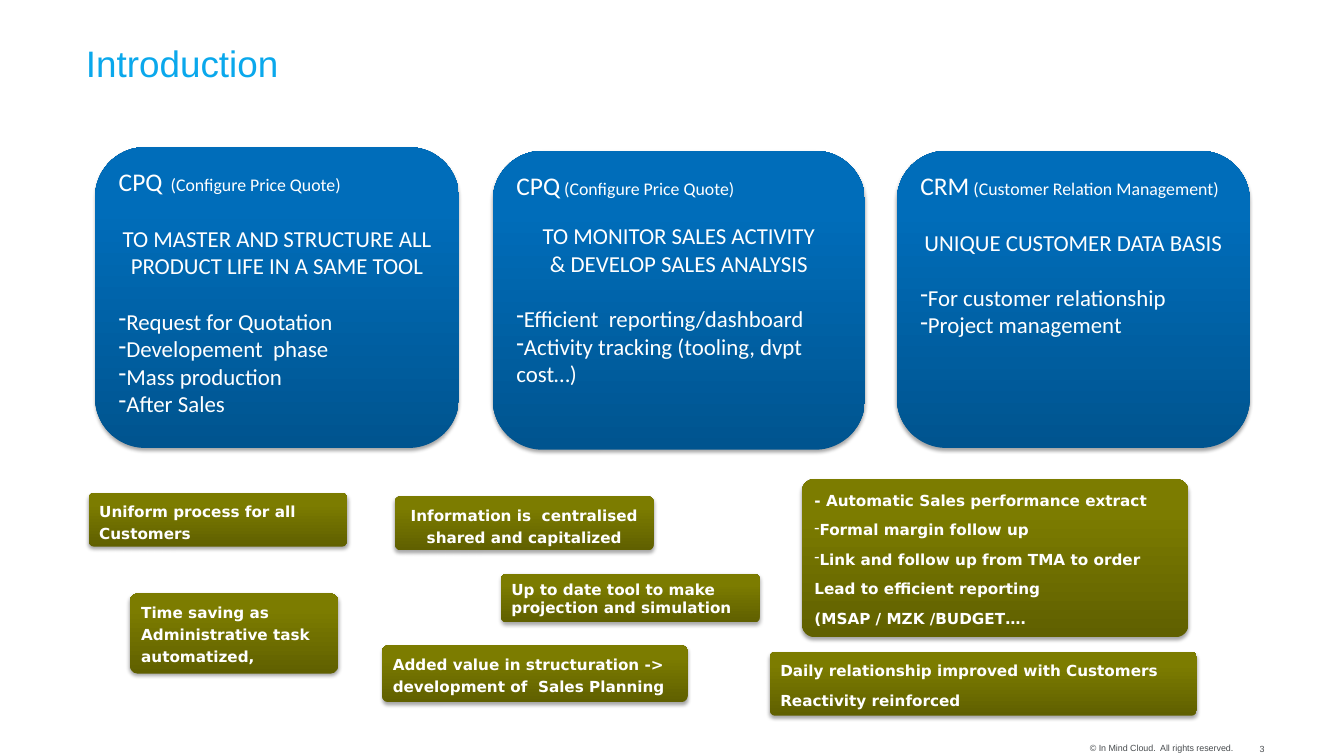
from copy import deepcopy
from dataclasses import dataclass

from lxml.etree import SubElement
from pptx import Presentation
from pptx.dml.color import RGBColor
from pptx.enum.shapes import MSO_SHAPE
from pptx.enum.text import MSO_ANCHOR, MSO_AUTO_SIZE, PP_ALIGN
from pptx.oxml.ns import qn
from pptx.util import Inches, Pt

WHITE = RGBColor(0xFF, 0xFF, 0xFF)
TITLE_BLUE = RGBColor(0x0A, 0xA8, 0xEC)
FOOTER_GREY = RGBColor(0x48, 0x4C, 0x4F)
# Gradients run from bottom to top: position and colour
BLUE_STOPS = ((0, RGBColor(0x00, 0x54, 0x8F)), (0.8, RGBColor(0x00, 0x6D, 0xBA)),
              (1, RGBColor(0x00, 0x6D, 0xBB)))
OLIVE_STOPS = ((0, RGBColor(0x60, 0x60, 0x00)), (0.8, RGBColor(0x7C, 0x7C, 0x00)),
               (1, RGBColor(0x7D, 0x7D, 0x00)))


@dataclass
class Card:
    place: tuple[float, float, float, float]
    name: str
    meaning: str
    heading: list[str]
    items: list[str]
    heading_gap: float = 22


@dataclass
class Note:
    place: tuple[float, float, float, float]
    lines: list[str]
    dashed: tuple[int, ...] = ()
    corner: float = 0.1
    align: PP_ALIGN = PP_ALIGN.LEFT
    spacing: float = 1.2


CARDS = [
    Card((1.04, 1.61, 3.98, 3.29), "CPQ", "  (Configure Price Quote)",
         ["TO MASTER AND STRUCTURE ALL PRODUCT LIFE IN A SAME TOOL"],
         ["Request for Quotation", "Developement  phase", "Mass production", "After Sales"]),
    Card((5.39, 1.65, 4.07, 3.27), "CPQ", " (Configure Price Quote)",
         ["TO MONITOR SALES ACTIVITY", "& DEVELOP SALES ANALYSIS"],
         ["Efficient  reporting/dashboard", "Activity tracking (tooling, dvpt cost…)"],
         heading_gap=17),
    Card((9.81, 1.65, 3.86, 3.25), "CRM", " (Customer Relation Management)",
         ["UNIQUE CUSTOMER DATA BASIS"],
         ["For customer relationship", "Project management"]),
]

NOTES = [
    Note((0.97, 5.39, 2.83, 0.59), ["Uniform process for all Customers"]),
    Note((1.42, 6.49, 2.28, 0.88), ["Time saving as Administrative task automatized,"]),
    Note((4.32, 5.43, 2.83, 0.59), ["Information is  centralised shared and capitalized"],
         align=PP_ALIGN.CENTER),
    Note((5.48, 6.28, 2.83, 0.53), ["Up to date tool to make projection and simulation"],
         spacing=1),
    Note((4.18, 7.06, 3.34, 0.62),
         ["Added value in structuration -> development of  Sales Planning"]),
    Note((8.77, 5.24, 4.23, 1.73),
         ["- Automatic Sales performance extract", "Formal margin follow up",
          "Link and follow up from TMA to order", "Lead to efficient reporting",
          "(MSAP / MZK /BUDGET…."], dashed=(1, 2), corner=0.08),
    Note((8.42, 7.13, 4.67, 0.7),
         ["Daily relationship improved with Customers", "Reactivity reinforced"], corner=0.08),
]


def add_span(para, text: str, size: float, font: str = "Calibri",
             color: RGBColor = WHITE, bold: bool = False) -> None:
    span = para.add_run()
    span.text = text
    span.font.size = Pt(size)
    span.font.name = font
    span.font.color.rgb = color
    span.font.bold = bold


def add_para(frame, text: str, size: float, *, align: PP_ALIGN = PP_ALIGN.LEFT,
             before: float = 0, spacing: float = 1, dash: bool = False, **style):
    """Fill the first empty paragraph, or append a new one."""
    first = frame.paragraphs[0]
    para = frame.add_paragraph() if first.runs else first
    para.alignment = align
    para.line_spacing = spacing
    para.space_before = Pt(before)
    if dash:
        SubElement(para._p.get_or_add_pPr(), qn("a:buChar"), char="-")
    add_span(para, text, size, **style)
    return para


def add_block(page, place: tuple[float, float, float, float], stops: tuple,
              corner: float | None = None):
    """Draw a rounded box with a vertical gradient and a soft shadow."""
    box = page.shapes.add_shape(MSO_SHAPE.ROUNDED_RECTANGLE, *map(Inches, place))
    if corner is not None:
        box.adjustments[0] = corner
    box.line.fill.background()
    box.fill.gradient()
    box.fill.gradient_angle = 90
    stop_list = box._element.spPr.find(f"{qn('a:gradFill')}/{qn('a:gsLst')}")
    stop_list.append(deepcopy(stop_list[-1]))
    for stop, (position, color) in zip(box.fill.gradient_stops, stops):
        stop.position = position
        stop.color.rgb = color
    # Shadow below the box
    box.shadow.inherit = False
    effects = box._element.spPr.find(qn("a:effectLst"))
    shadow = SubElement(effects, qn("a:outerShdw"), blurRad=str(Pt(3.1)), dist=str(Pt(1.8)),
                        dir="5400000", rotWithShape="0")
    black = SubElement(shadow, qn("a:srgbClr"), val="000000")
    SubElement(black, qn("a:alpha"), val="35000")
    box.text_frame.word_wrap = True
    box.text_frame.vertical_anchor = MSO_ANCHOR.TOP
    return box


def add_card(page, card: Card) -> None:
    frame = add_block(page, card.place, BLUE_STOPS).text_frame
    add_span(add_para(frame, card.name, 20), card.meaning, 14)
    for index, line in enumerate(card.heading):
        add_para(frame, line, 18, align=PP_ALIGN.CENTER,
                 before=0 if index else card.heading_gap)
    for index, line in enumerate(card.items):
        add_para(frame, line, 18, dash=True, before=0 if index else 22)


def add_note(page, note: Note) -> None:
    frame = add_block(page, note.place, OLIVE_STOPS, note.corner).text_frame
    frame.auto_size = MSO_AUTO_SIZE.SHAPE_TO_FIT_TEXT
    for index, line in enumerate(note.lines):
        add_para(frame, line, 12, align=note.align, before=6 if index else 0,
                 spacing=note.spacing, dash=index in note.dashed,
                 font="DejaVu Sans", bold=True)


def add_label(page, place: tuple[float, float, float, float], text: str, size: float,
              color: RGBColor, *, align: PP_ALIGN = PP_ALIGN.LEFT, wrap: bool = False) -> None:
    frame = page.shapes.add_textbox(*map(Inches, place)).text_frame
    frame.margin_left = frame.margin_right = frame.margin_top = frame.margin_bottom = 0
    frame.word_wrap = wrap
    add_para(frame, text, size, align=align, font="Arial", color=color)


def main() -> None:
    deck = Presentation()
    deck.slide_width, deck.slide_height = Inches(14.7), Inches(8.27)
    page = deck.slides.add_slide(deck.slide_layouts[6])

    # Footer and title
    add_label(page, (11.89, 8.12, 1.6, 0.12), "© In Mind Cloud.  All rights reserved.", 7,
              FOOTER_GREY, align=PP_ALIGN.RIGHT)
    add_label(page, (13.71, 8.13, 0.12, 0.12), "3", 7, FOOTER_GREY, align=PP_ALIGN.RIGHT)
    add_label(page, (0.94, 0.44, 8.79, 0.42), "Introduction", 29, TITLE_BLUE, wrap=True)

    # Tools and their benefits
    for card in CARDS:
        add_card(page, card)
    for note in NOTES:
        add_note(page, note)

    deck.save("out.pptx")


if __name__ == "__main__":
    main()
